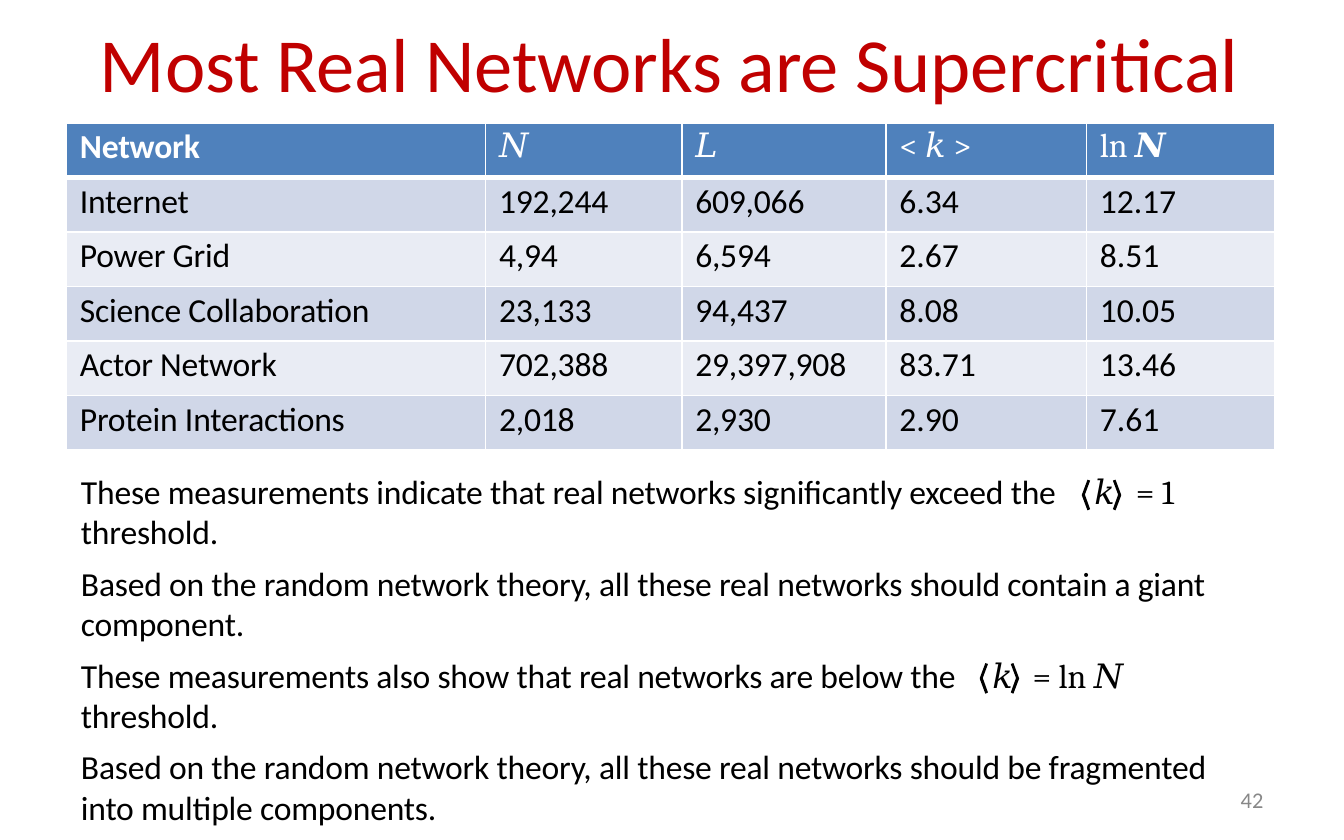
from dataclasses import dataclass

from lxml import etree
from pptx import Presentation
from pptx.dml.color import RGBColor
from pptx.oxml.ns import qn
from pptx.util import Pt

COLORS = {
    "title": "C00000", "text": "000000", "white": "FFFFFF", "number": "888888",
    "header": "4F81BC", "odd": "D0D7E8", "even": "E9ECF4",
}
BODY, MATH = "Calibri", "Cambria"

COLUMN_WIDTHS = [224.6, 105.1, 109.4, 107.3, 100.8]
ROW_HEIGHT = 29.2
ROWS = [
    ["Network", "𝑁", "𝐿", "< 𝑘 >", "ln 𝑵"],
    ["Internet", "192,244", "609,066", "6.34", "12.17"],
    ["Power Grid", "4,94", "6,594", "2.67", "8.51"],
    ["Science Collaboration", "23,133", "94,437", "8.08", "10.05"],
    ["Actor Network", "702,388", "29,397,908", "83.71", "13.46"],
    ["Protein Interactions", "2,018", "2,930", "2.90", "7.61"],
]

# Each statement: first line, formula, tab stops, second line
STATEMENTS = [
    ("These measurements indicate that real networks significantly exceed the\t",
     "𝑘\t= 1", (542.9, 565.2), "threshold."),
    ("Based on the random network theory, all these real networks should contain a giant",
     "", (), "component."),
    ("These measurements also show that real networks are below the\t",
     "𝑘\t= ln 𝑁", (488.2, 509.8), "threshold."),
    ("Based on the random network theory, all these real networks should be fragmented",
     "", (), "into multiple components."),
]

# Right angle bracket; the left one is its mirror image
BRACKET_WIDTH = 21
BRACKET = [(18, 0), (16.6, 0.5), (19.4, 8), (16.6, 15.8), (18, 16.4), (21, 8.5), (21, 8)]


def color(name):
    return RGBColor.from_string(COLORS[name])


@dataclass
class SlideWriter:
    page: object
    size: float = 18
    tracking: float = -0.1

    def style(self, span, name, size=None, font=BODY, bold=False, tracking=None):
        span.font.name = font
        span.font.size = Pt(size or self.size)
        span.font.bold = bold
        span.font.color.rgb = color(name)
        tracking = self.tracking if tracking is None else tracking
        span._r.get_or_add_rPr().set("spc", str(round(tracking * 100)))

    def box(self, left, top, width, height):
        frame = self.page.shapes.add_textbox(
            Pt(left), Pt(top), Pt(width), Pt(height)).text_frame
        frame.word_wrap = True
        frame.margin_left = frame.margin_top = Pt(0.9)
        frame.margin_right = frame.margin_bottom = 0
        return frame

    def label(self, left, top, width, height, text, name, size, tracking=None):
        frame = self.box(left, top, width, height)
        frame.text = text
        para = frame.paragraphs[0]
        para.space_before = Pt(1)
        self.style(para.runs[0], name, size, tracking=tracking)

    def tabs(self, para, stops):
        tab_list = etree.SubElement(para._p.get_or_add_pPr(), qn("a:tabLst"))
        for stop in stops:
            etree.SubElement(tab_list, qn("a:tab"), pos=str(Pt(stop)), algn="l")

    def statements(self, left, top, width, height, items):
        frame = self.box(left, top, width, height)
        for index, (first, formula, stops, second) in enumerate(items):
            para = frame.add_paragraph() if index else frame.paragraphs[0]
            para.text = first
            para.space_before = Pt(6 if index else 1)
            self.style(para.runs[0], "text")
            if formula:
                span = para.add_run()
                span.text = formula
                self.style(span, "text", font=MATH, tracking=0)
                self.tabs(para, stops)
            ending = frame.add_paragraph()
            ending.text = second
            self.style(ending.runs[0], "text")
            for line in (para, ending):
                line.line_spacing = Pt(21.6)

    def borders(self, cell, top, bottom):
        properties = cell._tc.get_or_add_tcPr()
        sides = [("a:lnL", 1), ("a:lnR", 1), ("a:lnT", top), ("a:lnB", bottom)]
        for index, (tag, width) in enumerate(sides):
            line = etree.Element(qn(tag), w=str(Pt(width)))
            fill = etree.SubElement(line, qn("a:solidFill"))
            etree.SubElement(fill, qn("a:srgbClr"), val=COLORS["white"])
            properties.insert(index, line)

    def table(self, left, top, widths, row_height, rows):
        table = self.page.shapes.add_table(
            len(rows), len(widths), Pt(left), Pt(top),
            Pt(sum(widths)), Pt(row_height * len(rows))).table
        for column, width in zip(table.columns, widths):
            column.width = Pt(width)
        for r, values in enumerate(rows):
            table.rows[r].height = Pt(row_height)
            fill = "header" if r == 0 else ("odd" if r % 2 else "even")
            for c, value in enumerate(values):
                cell = table.cell(r, c)
                cell.margin_left, cell.margin_top = Pt(7.2), Pt(2.2)
                cell.margin_right = cell.margin_bottom = 0
                cell.fill.solid()
                cell.fill.fore_color.rgb = color(fill)
                self.borders(cell, 3 if r == 1 else 1, 3 if r == 0 else 1)
                cell.text = value
                para = cell.text_frame.paragraphs[0]
                para.space_before = Pt(2.5)
                self.style(para.runs[0], "white" if r == 0 else "text",
                           font=MATH if r == 0 and c else BODY,
                           bold=r == 0 and c == 0,
                           tracking=0 if c > 2 or (r == 0 and c) else None)

    def brackets(self, left, top):
        right = [(Pt(x), Pt(y)) for x, y in BRACKET]
        mirrored = [(Pt(BRACKET_WIDTH) - x, y) for x, y in right]
        builder = self.page.shapes.build_freeform(*right[0])
        builder.add_line_segments(right[1:], close=True)
        builder.move_to(*mirrored[0])
        builder.add_line_segments(mirrored[1:], close=True)
        shape = builder.convert_to_shape(Pt(left), Pt(top))
        shape.shadow.inherit = False
        shape.fill.solid()
        shape.fill.fore_color.rgb = color("text")
        shape.line.fill.background()


def main():
    deck = Presentation()
    deck.slide_width, deck.slide_height = Pt(720), Pt(450)
    writer = SlideWriter(deck.slides.add_slide(deck.slide_layouts[6]))

    # Page number and title
    writer.label(663.8, 420.5, 16, 16.5, "42", "number", 12, tracking=0)
    writer.label(52.6, 7.9, 616, 51, "Most Real Networks are Supercritical", "title", 41)

    # Network measurements
    writer.table(35.6, 65.8, COLUMN_WIDTHS, ROW_HEIGHT, ROWS)

    # Conclusions, with angle brackets around each k
    writer.brackets(579.6, 257)
    writer.brackets(524.9, 355.2)
    writer.statements(42.5, 251.3, 615, 193, STATEMENTS)

    deck.save("out.pptx")


if __name__ == "__main__":
    main()
